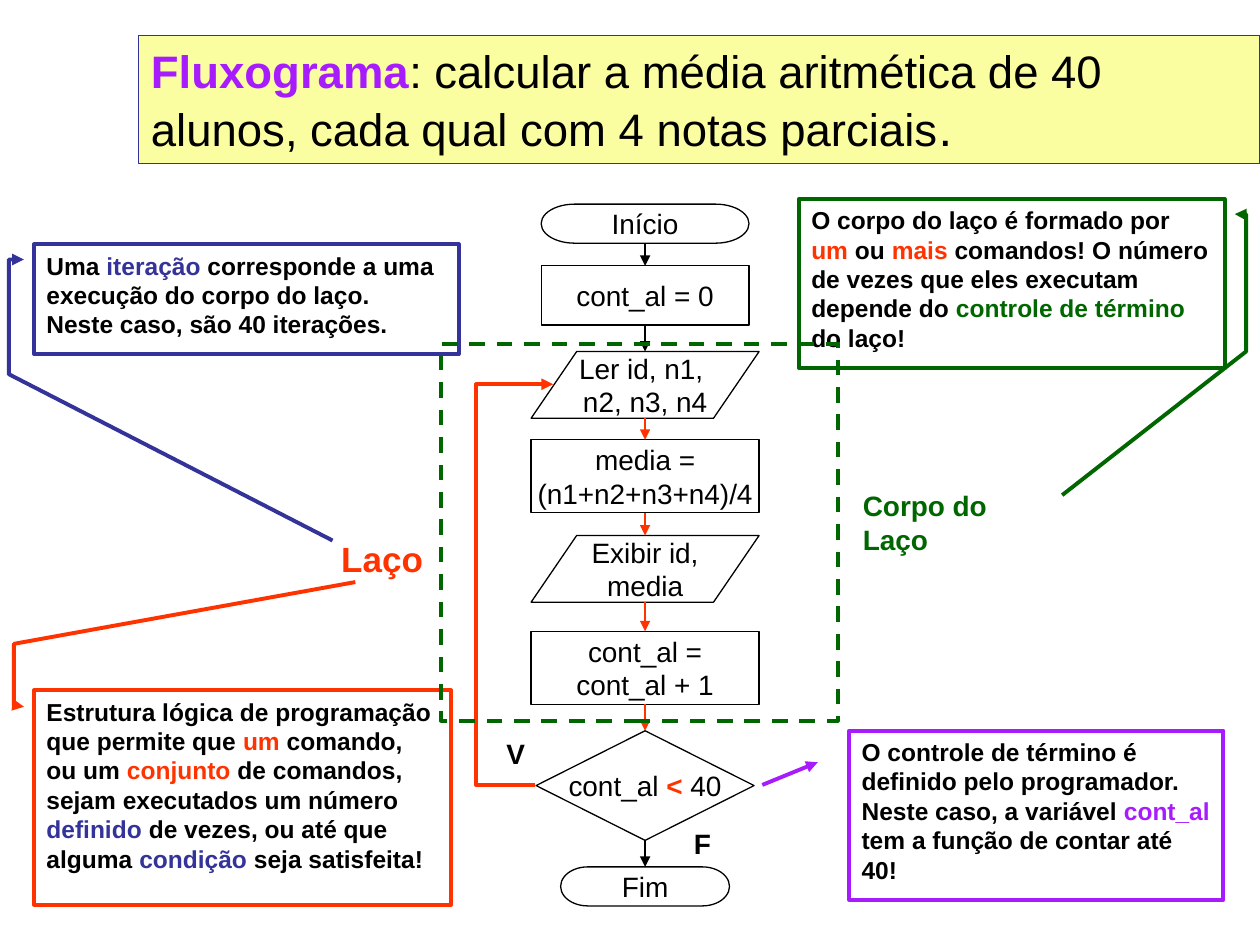
from lxml.etree import SubElement
from pptx import Presentation
from pptx.dml.color import RGBColor
from pptx.enum.dml import MSO_LINE
from pptx.enum.shapes import MSO_CONNECTOR, MSO_SHAPE
from pptx.enum.text import MSO_ANCHOR, MSO_AUTO_SIZE, PP_ALIGN
from pptx.oxml.ns import qn
from pptx.util import Inches, Pt

BLACK = RGBColor(0x00, 0x00, 0x00)
BLUE = RGBColor(0x33, 0x33, 0x99)
GREEN = RGBColor(0x00, 0x66, 0x00)
PURPLE = RGBColor(0xA7, 0x1C, 0xFC)
RED = RGBColor(0xFF, 0x33, 0x00)
YELLOW = RGBColor(0xFB, 0xFD, 0xA1)
FONT = "Arial"
THIN, THICK = 0.75, 2.25
SLIDE_W, SLIDE_H = 10, 7.5

# A paragraph is a list of runs; a run is plain text or (text, format).
TITLE = [[
    ("Fluxograma", {"color": PURPLE, "bold": True}),
    ": calcular a média aritmética de 40 alunos, cada qual com 4 notas parciais",
    (".", {"size": 28}),
]]

TERMINATOR = MSO_SHAPE.FLOWCHART_TERMINATOR
PROCESS = MSO_SHAPE.FLOWCHART_PROCESS
DATA = MSO_SHAPE.FLOWCHART_DATA
DECISION = MSO_SHAPE.FLOWCHART_DECISION

FLOW_CENTER = 5.12
# preset, top, width, height, paragraphs, colour of the arrow to the next step
STEPS = [
    (TERMINATOR, 1.62, 1.65, 0.31, [["Início"]], BLACK),
    (PROCESS, 2.11, 1.65, 0.47, [["cont_al = 0"]], BLACK),
    (DATA, 2.79, 1.81, 0.53, [["Ler id, n1, "], ["n2, n3, n4"]], RED),
    (PROCESS, 3.49, 1.81, 0.58, [["media ="], ["(n1+n2+n3+n4)/4"]], RED),
    (DATA, 4.25, 1.81, 0.53, [["Exibir id,"], ["media"]], RED),
    (PROCESS, 5.01, 1.81, 0.58, [["cont_al ="], ["cont_al + 1"]], RED),
    (DECISION, 5.8, 1.73, 0.87,
     [["cont_al ", ("<", {"color": RED, "bold": True}), " 40"]], BLACK),
    (TERMINATOR, 6.88, 1.34, 0.31, [["Fim"]], None),
]
LOOP_START, LOOP_END = (4.25, 6.23), (4.39, 3.05)
LOOP_LEFT = 3.78

LOOP_BODY = (3.5, 2.73, 3.15, 2.99)

# text, box, size, colour
LABELS = [
    ("V", (3.92, 5.8, 0.35, 0.37), 16, BLACK),
    ("F", (5.41, 6.51, 0.33, 0.37), 16, BLACK),
    ("Laço", (2.61, 4.22, 0.85, 0.44), 20, RED),
    ("Corpo do Laço", (6.75, 3.83, 1.76, 0.37), 16, GREEN),
]

# box, colour, points of the leader from its arrowhead outwards, paragraphs
CALLOUTS = [
    ((0.27, 5.48, 3.31, 1.7), RED,
     [(0.19, 5.61), (0.11, 5.61), (0.11, 5.11), (2.82, 4.62)],
     [["Estrutura lógica de programação"],
      ["que permite que ", ("um", {"color": RED}), " comando,"],
      ["ou um ", ("conjunto", {"color": RED}),
       " de comandos, sejam executados um número ",
       ("definido", {"color": BLUE}), " de vezes, ou até que alguma ",
       ("condição", {"color": BLUE}), " seja satisfeita!"]]),
    ((6.34, 1.58, 3.38, 1.34), GREEN,
     [(9.8, 1.7), (9.89, 1.7), (9.89, 2.79), (8.43, 3.93)],
     [["O corpo do laço é formado por"],
      [("um", {"color": RED}), " ou ", ("mais", {"color": RED}),
       " comandos! O número de vezes que eles executam depende do ",
       ("controle de término", {"color": GREEN}), " do laço!"]]),
    ((0.27, 1.94, 3.37, 0.87), BLUE,
     [(0.19, 2.06), (0.07, 2.06), (0.07, 2.97), (2.64, 4.29)],
     [["Uma ", ("iteração", {"color": BLUE}),
       " corresponde a uma execução do corpo do laço."],
      ["Neste caso, são 40 iterações."]]),
    ((6.74, 5.8, 2.97, 1.34), PURPLE,
     [(6.49, 6.05), (6.05, 6.23)],
     [["O controle de término é definido pelo programador. "
       "Neste caso, a variável ", ("cont_al", {"color": PURPLE}),
       " tem a função de contar até 40!"]]),
]


def write(frame, paragraphs, size=16, color=BLACK, bold=False,
          align=PP_ALIGN.LEFT, anchor=MSO_ANCHOR.TOP, wrap=True):
    frame.word_wrap = wrap
    frame.vertical_anchor = anchor
    for i, runs in enumerate(paragraphs):
        paragraph = frame.add_paragraph() if i else frame.paragraphs[0]
        paragraph.alignment = align
        for item in runs:
            text, own = (item, {}) if isinstance(item, str) else item
            run = paragraph.add_run()
            run.text = text
            font = run.font
            font.name = FONT
            font.size = Pt(own.get("size", size))
            font.bold = own.get("bold", bold)
            font.color.rgb = own.get("color", color)


def add_outline(shapes, preset, box, color, width, fill=None):
    shape = shapes.add_shape(preset, *map(Inches, box))
    shape.shadow.inherit = False
    if fill is None:
        shape.fill.background()
    else:
        shape.fill.solid()
        shape.fill.fore_color.rgb = fill
    shape.line.color.rgb = color
    shape.line.width = Pt(width)
    return shape


def add_arrowhead(shape, end):
    """Put a triangle on the line's start ("headEnd") or finish ("tailEnd")."""
    SubElement(shape.line._get_or_add_ln(), qn(f"a:{end}"), type="triangle")


def add_arrow(shapes, kind, start, finish, color, width):
    arrow = shapes.add_connector(kind, *map(Inches, (*start, *finish)))
    arrow.line.color.rgb = color
    arrow.line.width = Pt(width)
    add_arrowhead(arrow, "tailEnd")
    SubElement(arrow._element.spPr, qn("a:effectLst"))
    return arrow


def add_flow(shapes):
    for preset, top, width, height, paragraphs, _ in STEPS:
        box = (FLOW_CENTER - width / 2, top, width, height)
        step = add_outline(shapes, preset, box, BLACK, THIN)
        write(step.text_frame, paragraphs, align=PP_ALIGN.CENTER,
              anchor=MSO_ANCHOR.MIDDLE, wrap=False)

    loop = add_arrow(shapes, MSO_CONNECTOR.ELBOW, LOOP_START, LOOP_END, RED, THICK)
    bend = (LOOP_LEFT - LOOP_START[0]) / (LOOP_END[0] - LOOP_START[0])
    guides = loop._element.spPr.find(qn("a:prstGeom")).get_or_add_avLst()
    SubElement(guides, qn("a:gd"), name="adj1", fmla=f"val {round(bend * 100000)}")

    for (_, top, _, height, _, color), following in zip(STEPS, STEPS[1:]):
        add_arrow(shapes, MSO_CONNECTOR.STRAIGHT, (FLOW_CENTER, top + height),
                  (FLOW_CENTER, following[1]), color, THIN)


def add_callout(shapes, box, color, leader, paragraphs):
    preset = MSO_SHAPE.LINE_CALLOUT_1 if len(leader) == 2 else MSO_SHAPE.LINE_CALLOUT_3
    callout = add_outline(shapes, preset, box, color, THICK)
    left, top, width, height = box
    for i, (x, y) in enumerate(leader):
        callout.adjustments[2 * i] = (y - top) / height
        callout.adjustments[2 * i + 1] = (x - left) / width
    add_arrowhead(callout, "headEnd")
    write(callout.text_frame, paragraphs, size=14, bold=True)


def main():
    prs = Presentation()
    prs.slide_width, prs.slide_height = Inches(SLIDE_W), Inches(SLIDE_H)
    shapes = prs.slides.add_slide(prs.slide_layouts[6]).shapes

    title = add_outline(shapes, MSO_SHAPE.RECTANGLE, (1.1, 0.28, 8.9, 1.02),
                        BLUE, THIN, fill=YELLOW)
    write(title.text_frame, TITLE, size=26, anchor=MSO_ANCHOR.MIDDLE)

    add_flow(shapes)

    for text, box, size, color in LABELS:
        label = shapes.add_textbox(*map(Inches, box)).text_frame
        write(label, [[text]], size=size, color=color, bold=True, wrap=False)
        label.auto_size = MSO_AUTO_SIZE.SHAPE_TO_FIT_TEXT

    for callout in CALLOUTS:
        add_callout(shapes, *callout)

    body = add_outline(shapes, MSO_SHAPE.RECTANGLE, LOOP_BODY, GREEN, THICK)
    body.line.dash_style = MSO_LINE.DASH

    prs.save("out.pptx")


if __name__ == "__main__":
    main()
